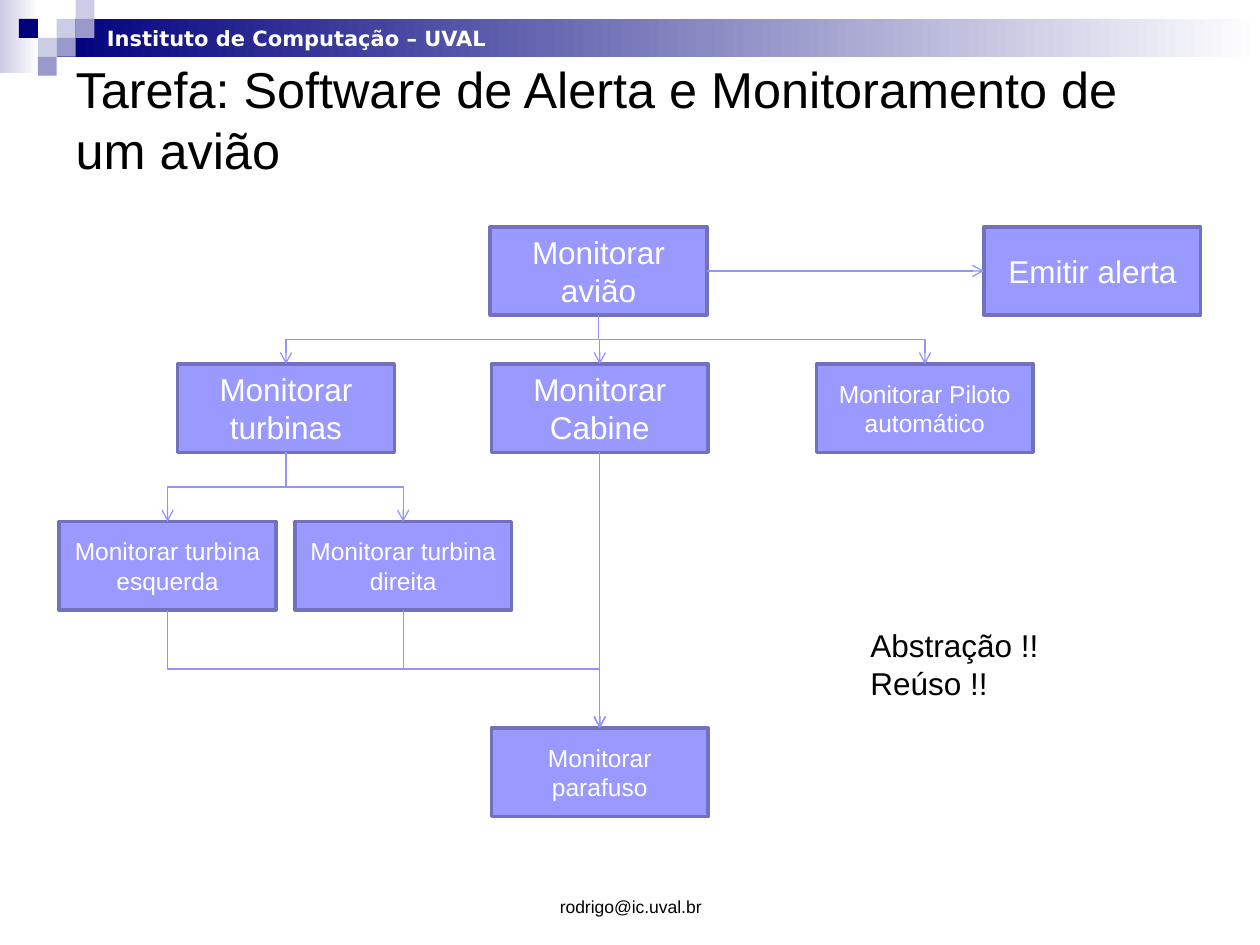
from lxml import etree
from pptx import Presentation
from pptx.dml.color import RGBColor
from pptx.enum.shapes import MSO_CONNECTOR, MSO_SHAPE
from pptx.enum.text import MSO_ANCHOR, MSO_AUTO_SIZE, PP_ALIGN
from pptx.oxml.ns import qn
from pptx.util import Inches, Pt

RECT, ELBOW = MSO_SHAPE.RECTANGLE, MSO_CONNECTOR.ELBOW
TOP, MIDDLE, BOTTOM = MSO_ANCHOR.TOP, MSO_ANCHOR.MIDDLE, MSO_ANCHOR.BOTTOM
LEFT, CENTER = PP_ALIGN.LEFT, PP_ALIGN.CENTER
FIT, FIXED = MSO_AUTO_SIZE.SHAPE_TO_FIT_TEXT, MSO_AUTO_SIZE.NONE

BLACK = RGBColor(0x00, 0x00, 0x00)
WHITE = RGBColor(0xFF, 0xFF, 0xFF)
NAVY = RGBColor(0x00, 0x00, 0x7D)
PALE = RGBColor(0xCC, 0xCC, 0xE6)
MUTED = RGBColor(0x99, 0x99, 0xCC)
BOX_FILL = RGBColor(0x99, 0x99, 0xFF)
BOX_LINE = RGBColor(0x71, 0x71, 0xBD)
ARROW = RGBColor(0x93, 0x93, 0xFC)

COLS, ROWS = 100, 75        # slide grid
BOX_W, BOX_H = 17.2, 7      # box size in grid units
SITE_TOP, SITE_LEFT, SITE_BOTTOM, SITE_RIGHT = range(4)


class Deck:
    def __init__(self):
        self.prs = Presentation()
        self.prs.slide_width, self.prs.slide_height = Inches(10), Inches(7.5)
        self.s = self.prs.slides.add_slide(self.prs.slide_layouts[5])

    def grid(self, x, y, w, h):
        col, row = self.prs.slide_width / COLS, self.prs.slide_height / ROWS
        return [round(n) for n in (x * col, y * row, w * col, h * row)]

    def set_text(self, sp, lines, size, color=BLACK, font="Arial", bold=False,
                 align=LEFT, anchor=TOP, wrap=True):
        tf = sp.text_frame
        frame = {"word_wrap": wrap, "vertical_anchor": anchor,
                 "auto_size": FIXED if wrap else FIT}
        for name, value in frame.items():
            setattr(tf, name, value)
        for i, line in enumerate(lines):
            p = tf.add_paragraph() if i else tf.paragraphs[0]
            p.alignment = align
            r = p.add_run()
            r.text = line
            for name, value in {"size": Pt(size), "name": font, "bold": bold}.items():
                setattr(r.font, name, value)
            r.font.color.rgb = color

    def title(self, text, at, size):
        sp = self.s.shapes.title
        sp.left, sp.top, sp.width, sp.height = self.grid(*at)
        self.set_text(sp, [text], size, anchor=MIDDLE)

    def text(self, lines, at, size, **style):
        sp = self.s.shapes.add_textbox(*self.grid(*at))
        self.set_text(sp, lines, size, **style)

    def rect(self, at, *colors, line=None):
        """One colour gives a solid fill, two give a gradient."""
        sp = self.s.shapes.add_shape(RECT, *self.grid(*at))
        sp.shadow.inherit = False
        if len(colors) > 1:
            sp.fill.gradient()
            sp.fill.gradient_angle = 0
            for i, (stop, color) in enumerate(zip(sp.fill.gradient_stops, colors)):
                stop.position, stop.color.rgb = i, color
        else:
            sp.fill.solid()
            sp.fill.fore_color.rgb = colors[0]
        if line is None:
            sp.line.fill.background()
        else:
            sp.line.color.rgb, sp.line.width = line, Pt(2)
        return sp

    def box(self, label, x, y, size):
        sp = self.rect((x, y, BOX_W, BOX_H), BOX_FILL, line=BOX_LINE)
        self.set_text(sp, [label], size, WHITE, align=CENTER, anchor=MIDDLE)
        return sp

    def arrow(self, start, end, down=True):
        c = self.s.shapes.add_connector(ELBOW, 0, 0, 0, 0)
        c.begin_connect(start, SITE_BOTTOM if down else SITE_RIGHT)
        c.end_connect(end, SITE_TOP if down else SITE_LEFT)
        if down:
            self.turn_down(c)
        c.line.color.rgb, c.line.width = ARROW, Pt(0.75)
        sp_pr = c._element.spPr
        etree.SubElement(sp_pr.find(qn("a:ln")), qn("a:tailEnd"), type="arrow")
        etree.SubElement(sp_pr, qn("a:effectLst"))

    def turn_down(self, c):
        """Rotate the elbow a quarter turn so it leaves and arrives vertically."""
        dx, dy = c.end_x - c.begin_x, c.end_y - c.begin_y
        mid_x, mid_y = (c.begin_x + c.end_x) // 2, (c.begin_y + c.end_y) // 2
        c.left, c.top = mid_x - dy // 2, mid_y - abs(dx) // 2
        c.width, c.height = dy, abs(dx)
        xfrm = c._element.spPr.find(qn("a:xfrm"))
        angle = 270 if dx > 0 else 90
        turn = {"rot": angle * 60000, "flipH": int(dx > 0), "flipV": 0}
        for name, value in turn.items():
            xfrm.set(name, str(value))


def main():
    deck = Deck()

    # Header band and its mosaic of squares
    deck.rect((0, 0, 3.1, 5.8), PALE, WHITE)
    deck.rect((4.5, 1.5, 95.5, 3), NAVY, WHITE)
    tile = 1.5
    mosaic = [(3, 1, PALE), (4, 0, PALE), (4, 1, MUTED), (2, 2, PALE),
              (1, 1, NAVY), (3, 2, MUTED), (2, 3, MUTED)]
    for col, row, color in mosaic:
        deck.rect((col * tile, row * tile, tile, tile), color)
    deck.text(["Instituto de Computação – UVAL"], (7.5, 1.5, 32.4, 3), 12,
              color=WHITE, font="DejaVu Sans", bold=True, wrap=False)

    # Title and footer
    deck.title("Tarefa: Software de Alerta e Monitoramento de um avião",
               (5, 5, 90, 8.9), 28.8)
    deck.text(["rodrigo@ic.uval.br"], (34.2, 68.3, 31.7, 5), 10,
              align=CENTER, anchor=BOTTOM)

    # Module boxes
    plane = deck.box("Monitorar avião", 38.9, 18, 18)
    alert = deck.box("Emitir alerta", 78.1, 18, 18)
    turbines = deck.box("Monitorar turbinas", 14.1, 28.9, 18)
    cabin = deck.box("Monitorar Cabine", 39, 28.9, 18)
    autopilot = deck.box("Monitorar Piloto automático", 64.8, 28.9, 14)
    left_turbine = deck.box("Monitorar turbina esquerda", 4.7, 41.4, 14)
    right_turbine = deck.box("Monitorar turbina direita", 23.4, 41.4, 14)
    screw = deck.box("Monitorar parafuso", 39, 57.8, 14)

    # Dependencies
    uses = [(plane, (turbines, cabin, autopilot)),
            (turbines, (left_turbine, right_turbine)),
            (left_turbine, (screw,)), (right_turbine, (screw,)), (cabin, (screw,))]
    for start, ends in uses:
        for end in ends:
            deck.arrow(start, end)
    deck.arrow(plane, alert, down=False)

    # Side remark
    deck.text(["Abstração !!", "Reúso !!"], (68.1, 49.2, 15.5, 7.1), 18, wrap=False)

    deck.prs.save("out.pptx")


if __name__ == "__main__":
    main()
